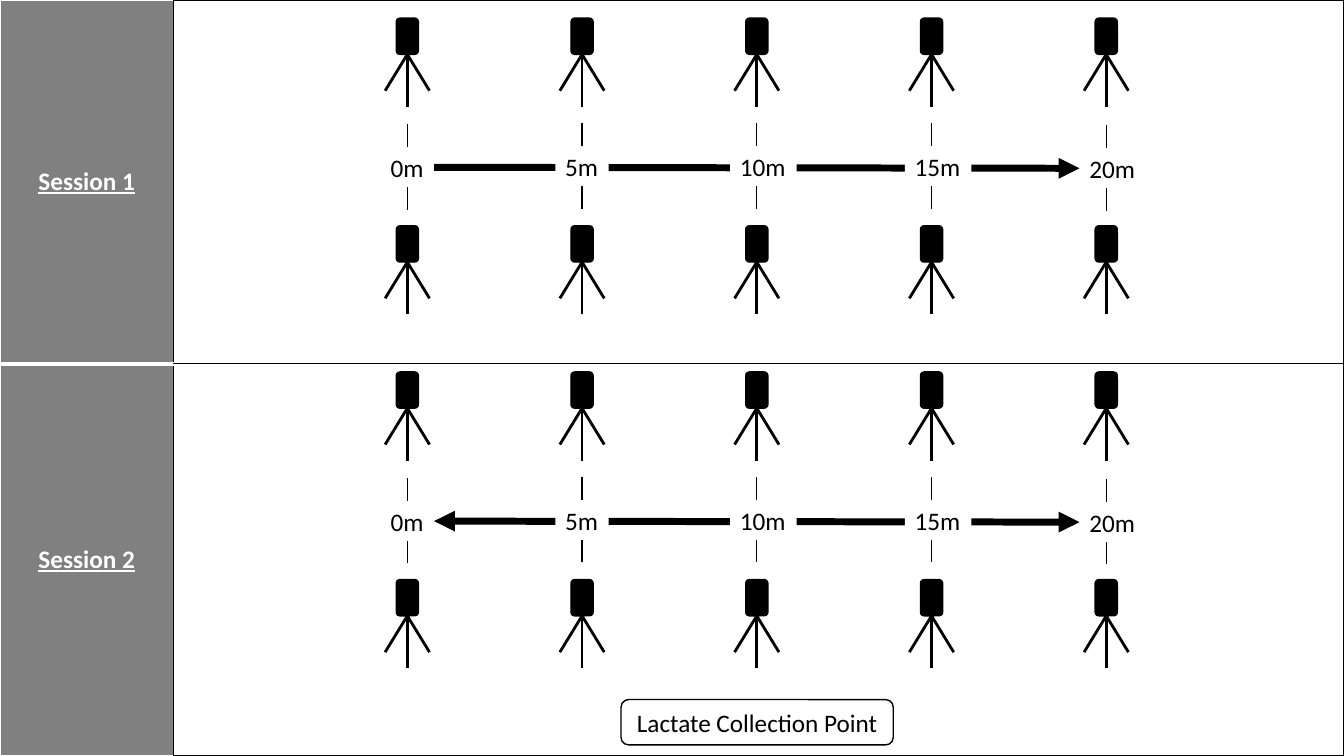
from pptx import Presentation
from pptx.dml.color import RGBColor as RGB
from pptx.enum.shapes import MSO_CONNECTOR as Conn, MSO_SHAPE as Shape
from pptx.enum.text import MSO_ANCHOR as Anchor, MSO_AUTO_SIZE as Auto, PP_ALIGN as Align
from pptx.oxml.ns import qn
from pptx.util import Inches, Pt
from lxml.etree import SubElement as Sub

COLORS = {"ink": "000000", "paper": "FFFFFF", "band": "808080"}
FONT = "Calibri"
START, STEP = 4.04, 1.733  # first gate and distance between gates
NARROW, WIDE = 0.53, 0.66  # label widths
# Distance, label width, label drop
MARKS = [("0m", NARROW, 0.01), ("5m", NARROW, 0), ("10m", WIDE, 0),
         ("15m", WIDE, 0), ("20m", WIDE, 0.02)]
# Top offset, arrow points both ways
RUNS = [(0, False), (3.51, True)]


def color(name):
    return RGB.from_string(COLORS[name])


def write(frame, text, ink="ink", align=Align.LEFT, strong=False):
    para = frame.paragraphs[0]
    para.alignment = align
    run = para.add_run()
    run.text = text
    font = run.font
    font.name, font.size = FONT, Pt(18)
    font.color.rgb = color(ink)
    if strong:
        font.bold = font.underline = True


def add_line(shapes, x1, y1, x2, y2, width):
    line = shapes.add_connector(Conn.STRAIGHT, Inches(x1), Inches(y1),
                                Inches(x2), Inches(y2))
    line.line.color.rgb = color("ink")
    line.line.width = Pt(width)
    Sub(line._element.spPr, qn("a:effectLst"))
    return line


def add_arrow(shapes, y, double):
    arrow = add_line(shapes, 4.3, y, 10.71, y, 5)
    ends = ["headEnd", "tailEnd"] if double else ["tailEnd"]
    for end in ends:
        Sub(arrow.line._get_or_add_ln(), qn("a:" + end), type="triangle")
    return arrow


def add_round(shapes, x, y, w, h, fill):
    box = shapes.add_shape(Shape.ROUNDED_RECTANGLE, Inches(x), Inches(y),
                           Inches(w), Inches(h))
    box.shadow.inherit = False
    box.fill.solid()
    box.fill.fore_color.rgb = color(fill)
    box.line.color.rgb = color("ink")
    box.line.width = Pt(1)
    return box


def add_gate(slide, x, top):
    """Timing gate: a body on three legs."""
    shapes = slide.shapes.add_group_shape().shapes
    body = add_round(shapes, x - 0.11, top, 0.22, 0.36, "ink")
    foot = top + 0.36
    for dx, dy in [(-0.22, 0.36), (0.22, 0.36), (0, 0.52)]:
        leg = add_line(shapes, x, foot, x + dx, foot + dy, 2)
        leg.begin_connect(body, 2)


def add_mark(slide, x, top, text, width):
    """Distance label with a tick above and below."""
    shapes = slide.shapes.add_group_shape().shapes
    label = shapes.add_textbox(Inches(x - NARROW / 2), Inches(top),
                               Inches(width), Inches(0.4))
    label.fill.solid()
    label.fill.fore_color.rgb = color("paper")
    frame = label.text_frame
    frame.word_wrap = False
    frame.auto_size = Auto.SHAPE_TO_FIT_TEXT
    write(frame, text)
    for y, dy, site in [(top, -0.23, 0), (top + 0.4, 0.22, 2)]:
        tick = add_line(shapes, x, y, x, y + dy, 1)
        if width == NARROW:
            tick.begin_connect(label, site)
    return label


def set_edges(cell, edges):
    props = cell._tc.get_or_add_tcPr()
    for side, (name, width) in zip("LRTB", edges):
        edge = Sub(props, qn("a:ln" + side), w=str(Pt(width)))
        fill = Sub(edge, qn("a:solidFill"))
        Sub(fill, qn("a:srgbClr"), val=COLORS[name])


def add_grid(slide):
    table = slide.shapes.add_table(2, 2, 0, 0, Inches(13.33), Inches(7.5)).table
    table.first_row = table.horz_banding = False
    for col, width in zip(table.columns, (1.72, 11.61)):
        col.width = Inches(width)
    for row, height in zip(table.rows, (3.61, 3.89)):
        row.height = Inches(height)
    for i, low in enumerate((3, 1)):
        head, field = table.cell(i, 0), table.cell(i, 1)
        set_edges(head, [("paper", 1), ("ink", 1), ("paper", 1), ("paper", low)])
        head.fill.solid()
        head.fill.fore_color.rgb = color("band")
        head.vertical_anchor = Anchor.MIDDLE
        write(head.text_frame, f"Session {i + 1}", "paper", Align.CENTER, True)
        set_edges(field, [("ink", 1)] * 4)
        field.fill.background()


def main():
    prs = Presentation()
    prs.slide_width, prs.slide_height = Inches(13.33), Inches(7.5)
    slide = prs.slides.add_slide(prs.slide_layouts[6])

    # Running direction, behind the labels
    arrows = [add_arrow(slide.shapes, 1.67 + top, double) for top, double in RUNS]

    # Session table
    add_grid(slide)

    # Gates and distances of both sessions
    for (top, _), arrow in zip(RUNS, arrows):
        labels = []
        for i, (text, width, drop) in enumerate(MARKS):
            x = START + i * STEP
            for y in (0.18, 2.24):
                add_gate(slide, x, top + y)
            labels.append(add_mark(slide, x, top + 1.45 + drop, text, width))
        arrow.begin_connect(labels[0], 3)
        arrow.end_connect(labels[-1], 1)

    # Collection point
    point = add_round(slide.shapes, 6.16, 6.94, 2.7, 0.45, "paper")
    point.text_frame.word_wrap = True
    point.text_frame.vertical_anchor = Anchor.MIDDLE
    write(point.text_frame, "Lactate Collection Point", align=Align.CENTER)

    prs.save("out.pptx")


if __name__ == "__main__":
    main()
